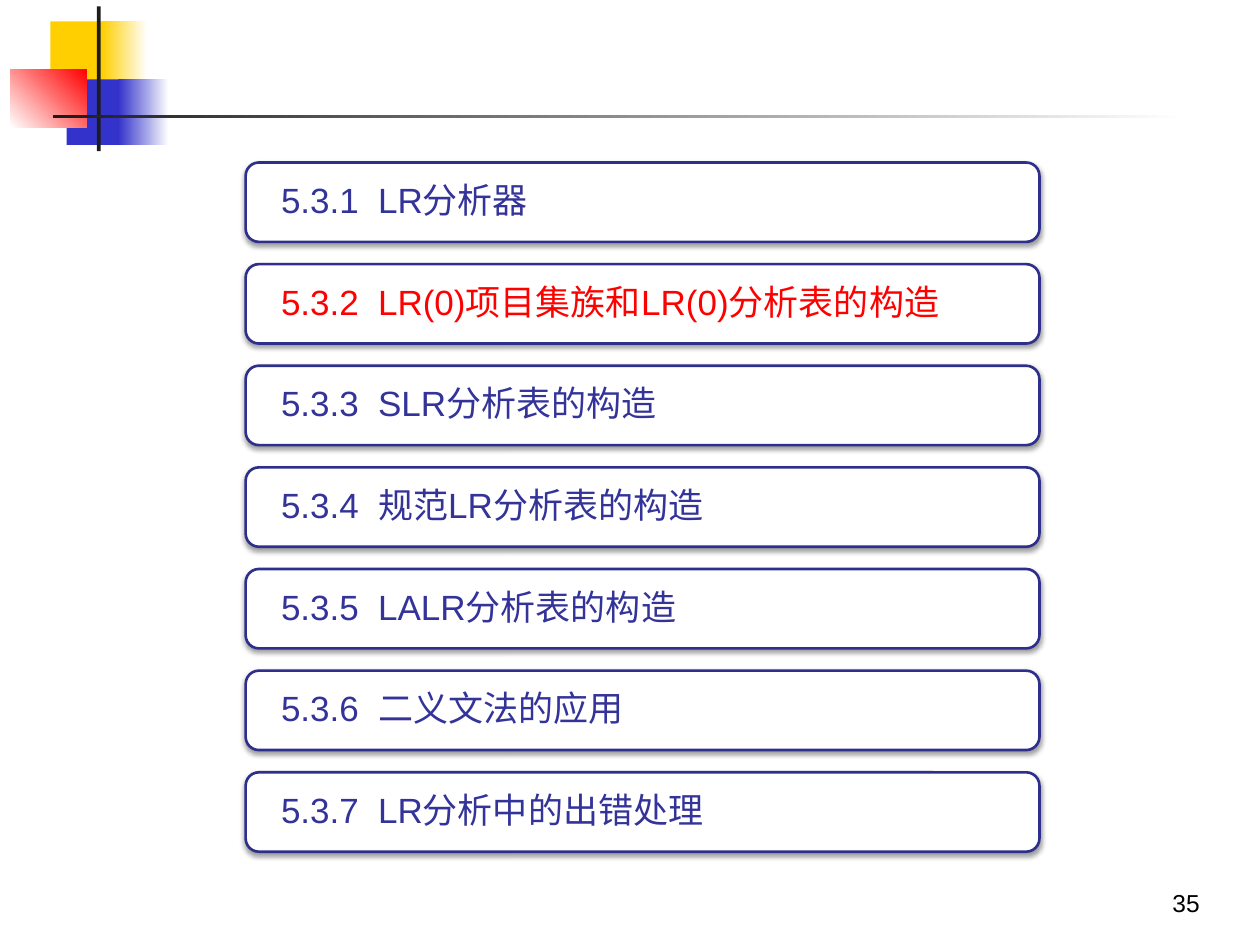
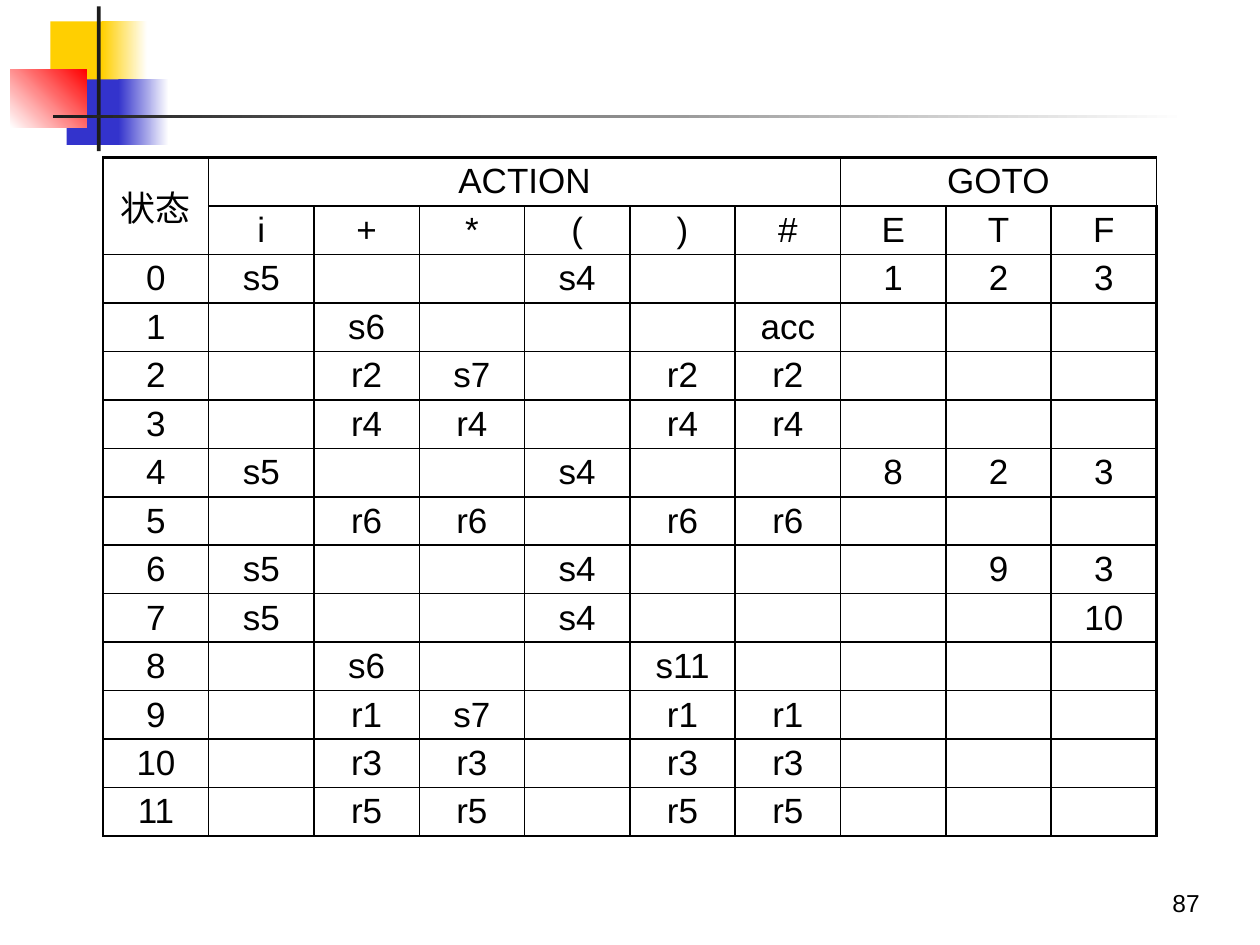
import pptx
import pptx.util
import pptx.dml.color
import pptx.enum.shapes
import pptx.enum.text
import pptx.oxml
import pptx.oxml.ns
from lxml import etree

Inches = pptx.util.Inches
Pt = pptx.util.Pt
RGBColor = pptx.dml.color.RGBColor
SHAPE = pptx.enum.shapes.MSO_SHAPE
ALIGN = pptx.enum.text.PP_ALIGN
ANCHOR = pptx.enum.text.MSO_ANCHOR
qn = pptx.oxml.ns.qn

# Shared colours and fonts
WHITE = RGBColor(0xFF, 0xFF, 0xFF)
BLACK = RGBColor(0x00, 0x00, 0x00)
YELLOW = RGBColor(0xFF, 0xCF, 0x01)
BLUE = RGBColor(0x33, 0x33, 0xCC)
RED = RGBColor(0xFF, 0x00, 0x00)
CHARCOAL = RGBColor(0x1C, 0x1C, 0x1C)
NAVY = RGBColor(0x2E, 0x2E, 0x8B)
INDIGO = RGBColor(0x33, 0x33, 0x99)
LATIN_FONT = "Arial"
CHINESE_FONT = "Noto Sans CJK SC"

# Corner ornament: box, start colour, end colour (None = solid), angle
ORNAMENT = [
    ((0.4, 0.17, 0.48, 0.52), YELLOW, None, 0),
    ((0.81, 0.17, 0.36, 0.52), YELLOW, WHITE, 0),
    ((0.53, 0.63, 0.46, 0.52), BLUE, None, 0),
    ((0.94, 0.63, 0.4, 0.52), BLUE, WHITE, 0),
    ((0.08, 0.55, 0.61, 0.46), WHITE, RED, 45),
    ((0.77, 0.05, 0.03, 1.15), CHARCOAL, None, 0),
    ((0.42, 0.91, 9, 0.03), CHARCOAL, WHITE, 0),
]

SECTIONS = [
    ("5.3.1", "LR分析器"),
    ("5.3.2", "LR(0)项目集族和LR(0)分析表的构造"),
    ("5.3.3", "SLR分析表的构造"),
    ("5.3.4", "规范LR分析表的构造"),
    ("5.3.5", "LALR分析表的构造"),
    ("5.3.6", "二义文法的应用"),
    ("5.3.7", "LR分析中的出错处理"),
]
CURRENT_SECTION = "5.3.2"

# Parsing table: one line per row, "." marks an empty cell
PARSING_TABLE = """
状态 ACTION . . . . . GOTO . .
. i + * ( ) # E T F
0 s5 . . s4 . . 1 2 3
1 . s6 . . . acc . . .
2 . r2 s7 . r2 r2 . . .
3 . r4 r4 . r4 r4 . . .
4 s5 . . s4 . . 8 2 3
5 . r6 r6 . r6 r6 . . .
6 s5 . . s4 . . . 9 3
7 s5 . . s4 . . . . 10
8 . s6 . . s11 . . . .
9 . r1 s7 . r1 r1 . . .
10 . r3 r3 . r3 r3 . . .
11 . r5 r5 . r5 r5 . . .
"""
HEADER_SPANS = [((0, 0), (1, 0)), ((0, 1), (0, 6)), ((0, 7), (0, 9))]


def add_run(paragraph, text, size, color):
    run = paragraph.add_run()
    run.text = text
    run.font.size = Pt(size)
    run.font.name = LATIN_FONT
    run.font.color.rgb = color
    east_asian = etree.SubElement(run.font._element, qn("a:ea"))
    east_asian.set("typeface", CHINESE_FONT)


def add_ornament(slide):
    for box, start, end, angle in ORNAMENT:
        part = slide.shapes.add_shape(SHAPE.RECTANGLE, *map(Inches, box))
        part.shadow.inherit = False
        part.line.fill.background()
        if end is None:
            part.fill.solid()
            part.fill.fore_color.rgb = start
        else:
            part.fill.gradient()
            part.fill.gradient_angle = angle
            for stop, color in zip(part.fill.gradient_stops, (start, end)):
                stop.color.rgb = color


def add_page_number(slide, number, box):
    frame = slide.shapes.add_textbox(*map(Inches, box)).text_frame
    frame.word_wrap = True
    frame.vertical_anchor = ANCHOR.BOTTOM
    frame.paragraphs[0].alignment = ALIGN.RIGHT
    add_run(frame.paragraphs[0], str(number), 14, BLACK)


def add_page(deck, number):
    slide = deck.slides.add_slide(deck.slide_layouts[6])
    add_ornament(slide)
    add_page_number(slide, number, (7.54, 6.83, 2.08, 0.5))
    return slide


def add_soft_shadow(shape):
    shape.shadow.inherit = False
    effects = shape._element.spPr.find(qn("a:effectLst"))
    shadow = etree.SubElement(effects, qn("a:outerShdw"), blurRad=str(Pt(3.1)),
                              dist=str(Pt(1.6)), dir="5400000", rotWithShape="0")
    color = etree.SubElement(shadow, qn("a:srgbClr"), val=str(BLACK))
    etree.SubElement(color, qn("a:alpha"), val="38000")


def add_section_entry(slide, number, title, box):
    entry = slide.shapes.add_shape(SHAPE.ROUNDED_RECTANGLE, *map(Inches, box))
    add_soft_shadow(entry)
    entry.fill.solid()
    entry.fill.fore_color.rgb = WHITE
    entry.line.color.rgb = NAVY
    entry.line.width = Pt(1.5)

    frame = entry.text_frame
    frame.word_wrap = True
    frame.vertical_anchor = ANCHOR.MIDDLE
    frame.margin_left = frame.margin_right = Inches(0.25)
    frame.margin_top = frame.margin_bottom = 0
    heading = frame.paragraphs[0]
    heading.alignment = ALIGN.LEFT
    heading.line_spacing = 0.9
    # Titles line up at a tab stop after the number
    tabs = etree.SubElement(heading._p.get_or_add_pPr(), qn("a:tabLst"))
    etree.SubElement(tabs, qn("a:tab"), pos=str(Inches(0.77)), algn="l")
    color = RED if number == CURRENT_SECTION else INDIGO
    add_run(heading, f"{number}\t{title}", 20, color)


def add_section_list(slide, box):
    left, top, width, height = box
    entry_height = 0.63
    pitch = (height - entry_height) / (len(SECTIONS) - 1)
    for i, (number, title) in enumerate(SECTIONS):
        add_section_entry(slide, number, title,
                          (left, top + i * pitch, width, entry_height))


def set_borders(cell, widths):
    for side, width in widths.items():
        line = etree.SubElement(cell._tc.get_or_add_tcPr(), qn(f"a:ln{side}"),
                                w=str(Pt(width)))
        fill = etree.SubElement(line, qn("a:solidFill"))
        etree.SubElement(fill, qn("a:srgbClr"), val=str(BLACK))


def add_parsing_table(slide, box):
    grid = [line.split() for line in PARSING_TABLE.strip().splitlines()]
    last_row, last_col = len(grid) - 1, len(grid[0]) - 1
    left, top, width, height = map(Inches, box)
    table = slide.shapes.add_table(len(grid), len(grid[0]),
                                   left, top, width, height).table
    table.first_row = table.horz_banding = False
    for column in table.columns:
        column.width = width // len(grid[0])
    for row in table.rows:
        row.height = height // len(grid)
    for first, last in HEADER_SPANS:
        table.cell(*first).merge(table.cell(*last))

    for r, values in enumerate(grid):
        for c, value in enumerate(values):
            cell = table.cell(r, c)
            # Heavier outer frame
            set_borders(cell, {
                "L": 1.5 if c == 0 else 1,
                "R": 1.5 if c == last_col and r > 0 else 1,
                "T": 1.5 if r == 0 else 1,
                "B": 1.5 if r == last_row else 1,
            })
            cell.fill.background()
            cell.margin_left = cell.margin_right = Inches(0.02)
            cell.margin_top = cell.margin_bottom = 0
            cell.vertical_anchor = ANCHOR.MIDDLE
            if value != ".":
                entry = cell.text_frame.paragraphs[0]
                entry.alignment = ALIGN.CENTER
                add_run(entry, value, 20, BLACK)


def main():
    deck = pptx.Presentation()
    deck.slide_width, deck.slide_height = Inches(10), Inches(7.5)
    add_section_list(add_page(deck, 35), (1.95, 1.29, 6.3, 5.47))
    add_parsing_table(add_page(deck, 87), (0.82, 1.25, 8.36, 5.39))
    deck.save("out.pptx")


if __name__ == "__main__":
    main()
